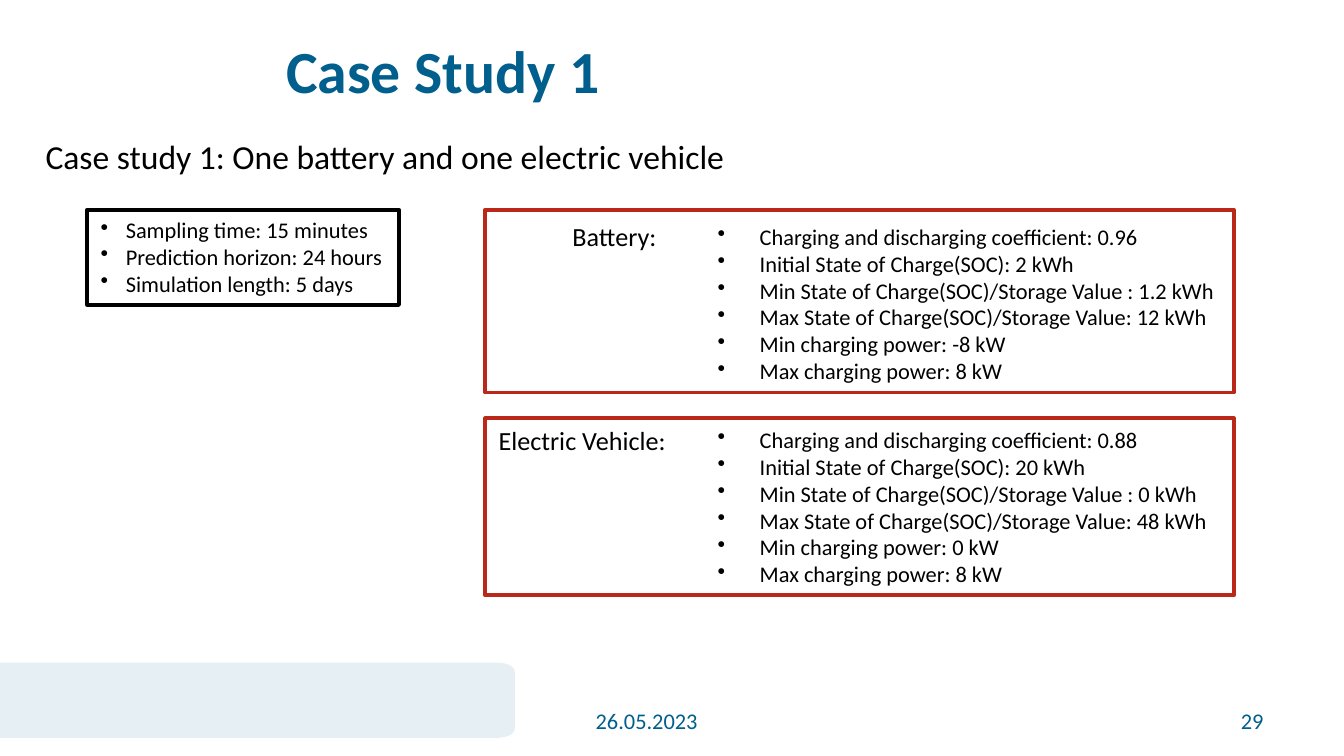
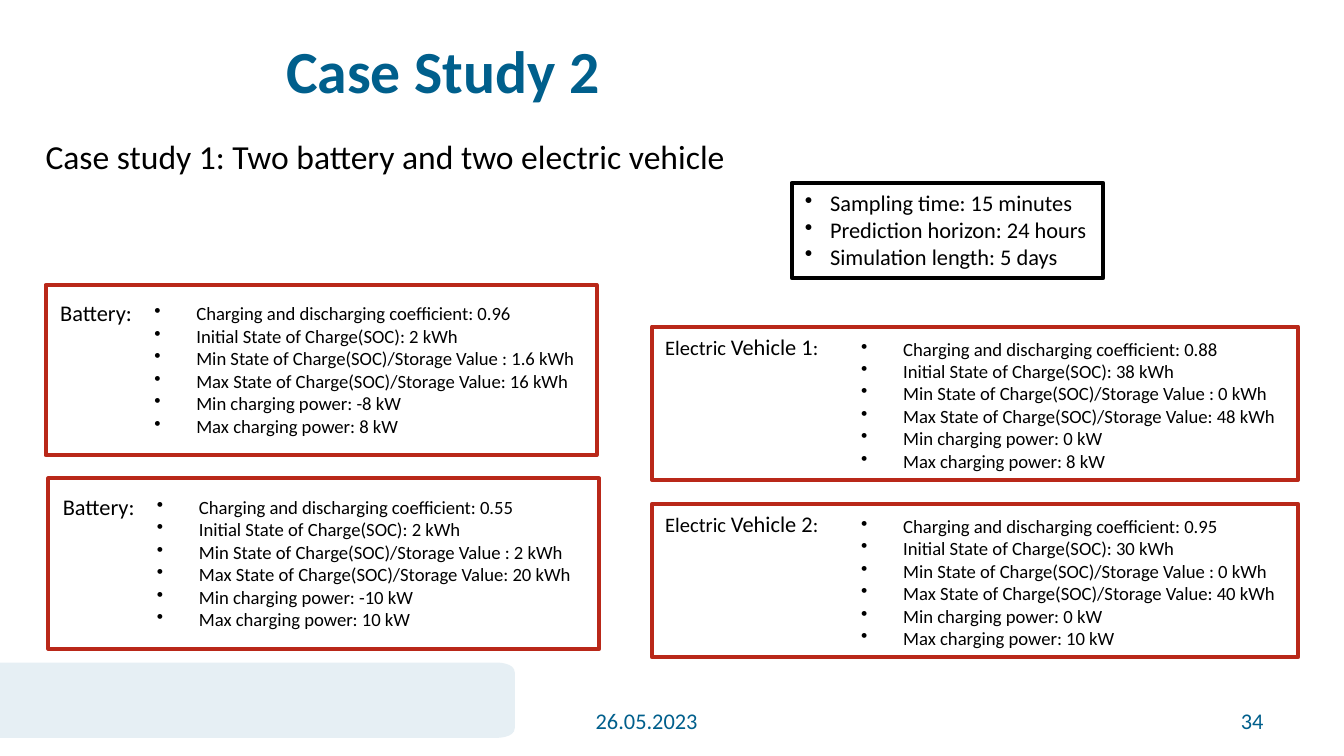
from dataclasses import dataclass

from lxml.etree import SubElement
from pptx import Presentation
from pptx.dml.color import RGBColor
from pptx.enum.shapes import MSO_SHAPE as Shape
from pptx.enum.text import MSO_ANCHOR as Anchor, MSO_AUTO_SIZE as AutoSize, PP_ALIGN as Align
from pptx.oxml.ns import qn
from pptx.util import Pt

FONT = "Calibri"
TEAL = RGBColor(0x00, 0x5F, 0x8C)
PALE = RGBColor(0xE6, 0xEF, 0xF4)
RED = RGBColor(0xB9, 0x28, 0x19)
BLACK = RGBColor(0x00, 0x00, 0x00)
WHITE = RGBColor(0xFF, 0xFF, 0xFF)

SETTINGS = ["Sampling time: 15 minutes", "Prediction horizon: 24 hours", "Simulation length: 5 days"]
SPEC_NAMES = [
    "Charging and discharging coefficient: ",
    "Initial State of Charge(SOC): ",
    "Min State of Charge(SOC)/Storage Value : ",
    "Max State of Charge(SOC)/Storage Value: ",
    "Min charging power: ",
    "Max charging power: ",
]
SPEC_UNITS = ["", " kWh", " kWh", " kWh", " kW", " kW"]


@dataclass
class PanelStyle:
    """Panel size, with label and list boxes relative to its corner."""
    size: tuple
    label: tuple
    specs: tuple
    spec_size: int
    wrap_label: bool


BATTERY_LARGE = PanelStyle((401, 98), (39.6, 2.2, 60.5, 24.5), (117.4, 3.6, 283, 94.3), 12, False)
VEHICLE_LARGE = PanelStyle((401, 95), (0, 0, 106, 24.5), (117.4, 0.7, 283, 94.3), 12, True)
BATTERY_SMALL = PanelStyle((295.2, 91.4), (0.7, 4.3, 53.3, 21.6), (51.1, 5.8, 243.4, 79.9), 10, False)
VEHICLE_SMALL = PanelStyle((346.3, 82.1), (0, 0, 106, 21.6), (105.1, 2.2, 240.5, 79.9), 10, True)


def points(box):
    return [Pt(length) for length in box]


def add_text(slide, box, paragraphs, color=BLACK, bold=False, wrap=False, indent=0,
             anchor=Anchor.TOP, align=Align.LEFT, grow=True):
    """Each paragraph is a list of (text, size) runs."""
    frame = slide.shapes.add_textbox(*points(box)).text_frame
    frame.word_wrap = wrap
    frame.auto_size = AutoSize.SHAPE_TO_FIT_TEXT if grow else AutoSize.NONE
    frame.vertical_anchor = anchor
    for index, runs in enumerate(paragraphs):
        paragraph = frame.add_paragraph() if index else frame.paragraphs[0]
        paragraph.alignment = align
        if indent:
            properties = paragraph._p.get_or_add_pPr()
            properties.set("marL", str(Pt(indent)))
            properties.set("indent", str(-Pt(indent)))
            SubElement(properties, qn("a:buChar")).set("char", "•")
        for text, size in runs:
            run = paragraph.add_run()
            run.text = text
            run.font.name = FONT
            run.font.size = Pt(size)
            run.font.bold = bold
            run.font.color.rgb = color


def add_bullets(slide, box, lines, size, indent):
    add_text(slide, box, [[(line, size)] for line in lines], indent=indent)


def add_frame(slide, box, color):
    frame = slide.shapes.add_shape(Shape.RECTANGLE, *points(box))
    frame.shadow.inherit = False
    frame.fill.solid()
    frame.fill.fore_color.rgb = WHITE
    frame.line.color.rgb = color
    frame.line.width = Pt(2)


def add_corner_band(slide, width=275.8, top=355, bottom=395.3, round_x=9.4, round_y=5.3):
    """Band from the left edge with two softly rounded right corners."""
    steps = 8
    # Cubic curve whose first control point sits on its start and second on the corner
    curve = []
    for step in range(steps + 1):
        t = step / steps
        along = 3 * t ** 2 * (1 - t) + t ** 3
        curve.append((width - round_x * (1 - along), round_y * t ** 3))
    upper = [(x, top + drop) for x, drop in curve]
    lower = [(x, bottom - rise) for x, rise in reversed(curve)]
    builder = slide.shapes.build_freeform(0, Pt(top))
    builder.add_line_segments([points(p) for p in upper + lower + [(0, bottom)]], close=True)
    band = builder.convert_to_shape()
    band.shadow.inherit = False
    band.fill.solid()
    band.fill.fore_color.rgb = PALE
    band.line.fill.background()


def add_base(prs, title, subtitle, number):
    slide = prs.slides.add_slide(prs.slide_layouts[6])
    # Band and footer
    add_corner_band(slide)
    for left, text, align in ((312, "26.05.2023", Align.LEFT), (516, number, Align.RIGHT)):
        add_text(slide, (left, 375, 168, 21.6), [[(text, 12)]], TEAL, wrap=True,
                 anchor=Anchor.MIDDLE, align=align, grow=False)
    # Headings
    add_text(slide, (146.2, 14.4, 427, 64), [[(title, 32)]], TEAL, bold=True, wrap=True, grow=False)
    add_text(slide, (17.3, 69.1, 383, 28.8), [[(subtitle, 18)]])
    return slide


def add_settings(slide, left, top):
    box = (left, top, 167, 51.1)
    add_frame(slide, box, BLACK)
    add_bullets(slide, box, SETTINGS, 12, 13.5)


def add_device(slide, left, top, style, label, values):
    def inside(box):
        return (left + box[0], top + box[1], *box[2:])

    add_frame(slide, (left, top, *style.size), RED)
    add_text(slide, inside(style.label), [label], wrap=style.wrap_label)
    specs = [name + value + unit for name, value, unit in zip(SPEC_NAMES, values, SPEC_UNITS)]
    add_bullets(slide, inside(style.specs), specs, style.spec_size, 22.5)


def build_case_1(prs):
    slide = add_base(prs, "Case Study 1", "Case study 1: One battery and one electric vehicle", "29")
    add_settings(slide, 46.8, 112.3)
    add_device(slide, 260, 112.3, BATTERY_LARGE, [("Battery:", 14)],
               ["0.96", "2", "1.2", "12", "-8", "8"])
    add_device(slide, 260, 224, VEHICLE_LARGE, [("Electric Vehicle:", 14)],
               ["0.88", "20", "0", "48", "0", "8"])


def build_case_2(prs):
    slide = add_base(prs, "Case Study 2", "Case study 1: Two battery and two electric vehicle", "34")
    add_settings(slide, 424.1, 97.9)
    # Batteries
    batteries = [
        (24.5, 152.6, ["0.96", "2", "1.6", "16", "-8", "8"]),
        (25.9, 256.3, ["0.55", "2", "2", "20", "-10", "10"]),
    ]
    for left, top, values in batteries:
        add_device(slide, left, top, BATTERY_SMALL, [("Battery:", 12)], values)
    # Vehicles
    vehicles = [["0.88", "38", "0", "48", "0", "8"], ["0.95", "30", "0", "40", "0", "10"]]
    for index, values in enumerate(vehicles):
        label = [("Electric ", 11), (f"Vehicle {index + 1}", 12), (":", 11)]
        add_device(slide, 349.2, 175 + 95 * index, VEHICLE_SMALL, label, values)


def main():
    prs = Presentation()
    prs.slide_width, prs.slide_height = Pt(720), Pt(405)
    build_case_1(prs)
    build_case_2(prs)
    prs.save("out.pptx")


if __name__ == "__main__":
    main()
